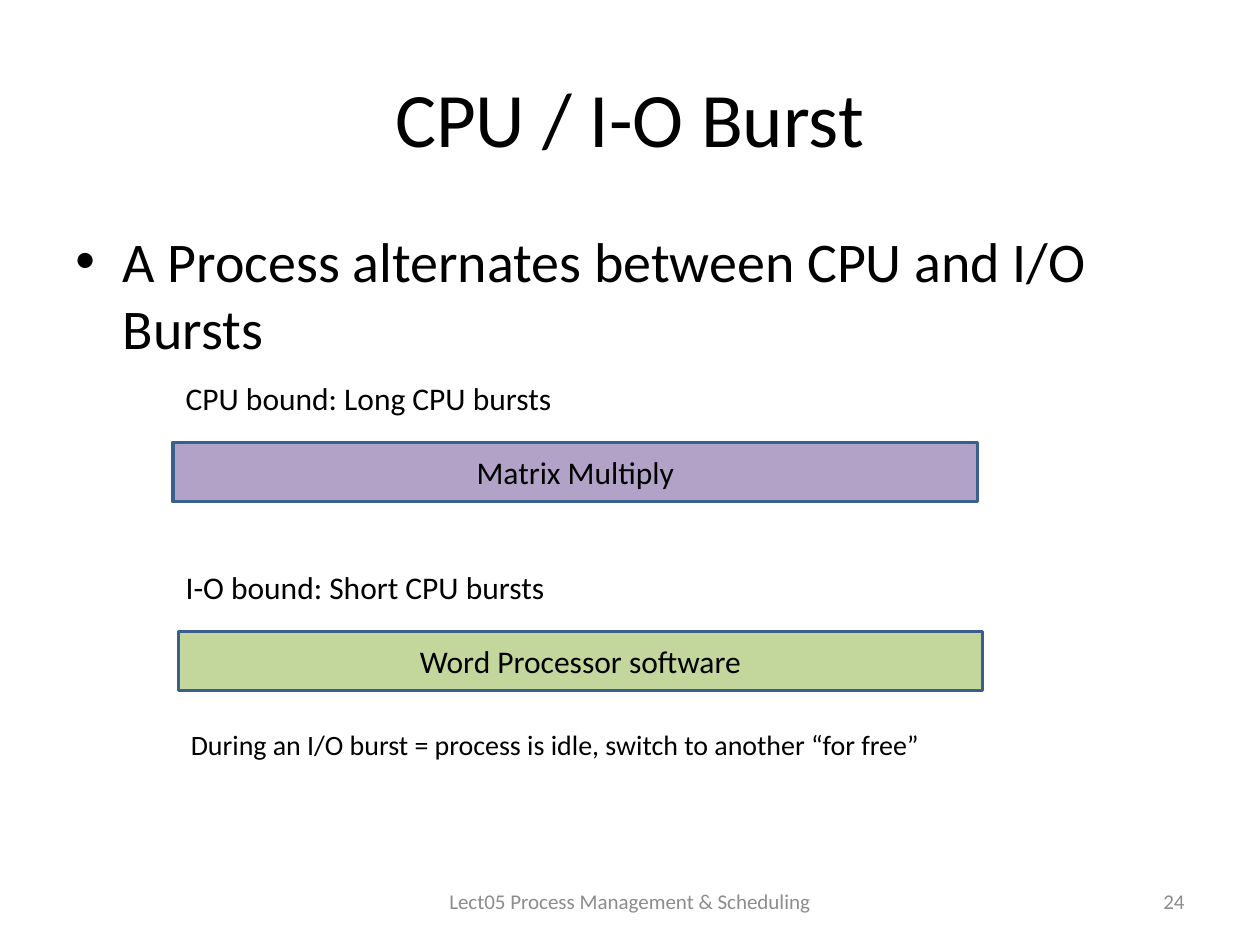
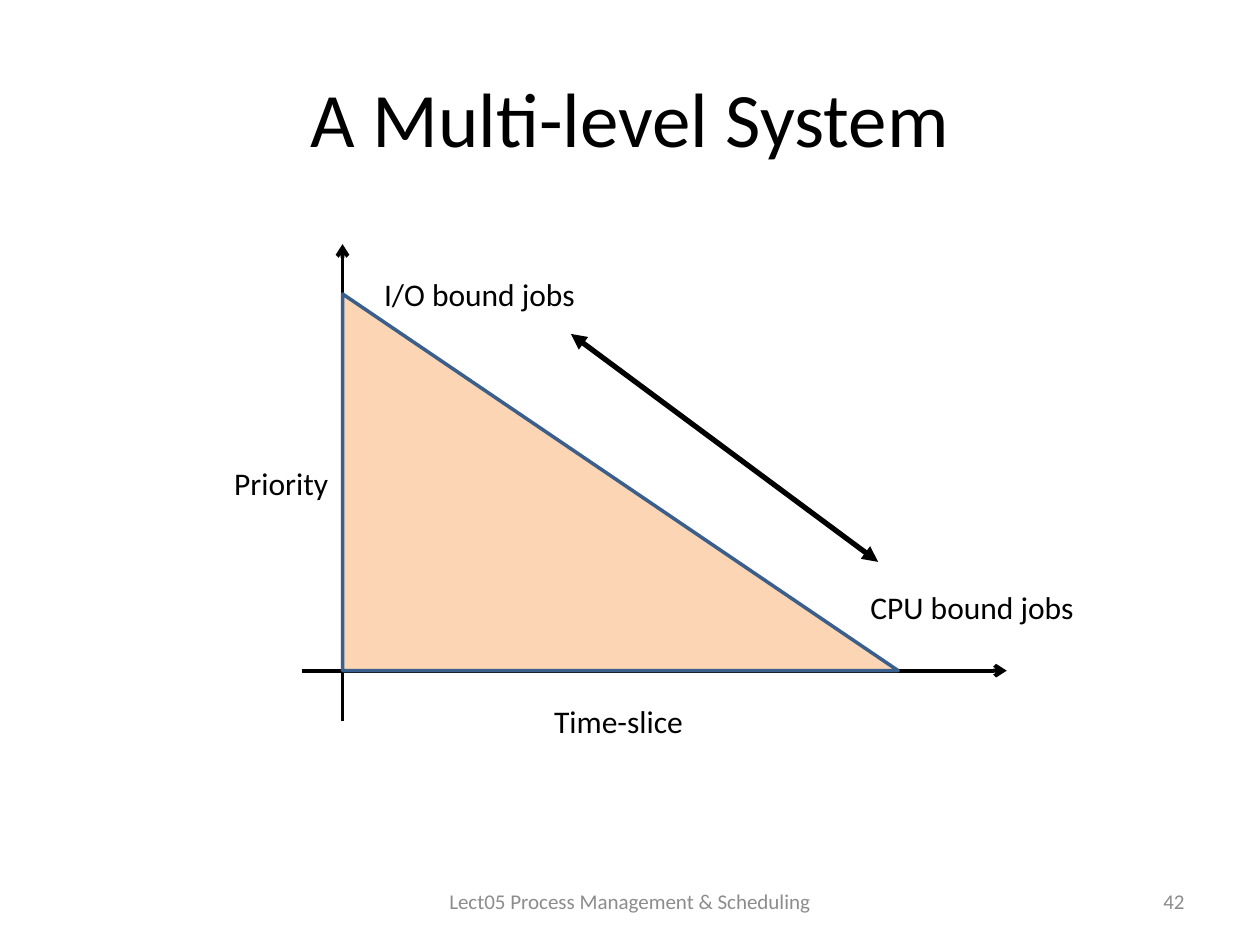
"""Build two lecture slides on CPU and I/O bursts and multi-level scheduling."""
from lxml import etree
from pptx import Presentation
from pptx.dml.color import RGBColor
from pptx.enum.shapes import MSO_CONNECTOR, MSO_SHAPE
from pptx.enum.text import MSO_ANCHOR, PP_ALIGN
from pptx.oxml.ns import qn
from pptx.util import Pt

LEFT, CENTER, RIGHT = PP_ALIGN.LEFT, PP_ALIGN.CENTER, PP_ALIGN.RIGHT
TOP, MIDDLE = MSO_ANCHOR.TOP, MSO_ANCHOR.MIDDLE
RECT, TRIANGLE = MSO_SHAPE.RECTANGLE, MSO_SHAPE.RIGHT_TRIANGLE
TRIANGLE = MSO_SHAPE.ISOSCELES_TRIANGLE
STRAIGHT = MSO_CONNECTOR.STRAIGHT
FONT = "Calibri"
COLORS = {
    "text": "000000",
    "footer": "8C8C8C",
    "outline": "3A5F8C",
    "cpu": "B3A2C7",
    "io": "C3D69B",
    "area": "FCD5B5",
}


def add_text(s, text, box, size=18, align=LEFT, anchor=TOP, color="text", wrap=True):
    sp = s.shapes.add_textbox(*map(Pt, box))
    tf = sp.text_frame
    tf.word_wrap = wrap
    tf.vertical_anchor = anchor
    p = tf.paragraphs[0]
    p.alignment = align
    r = p.add_run()
    r.text = text
    r.font.name = FONT
    r.font.size = Pt(size)
    r.font.color.rgb = RGBColor.from_string(COLORS[color])
    return p


def add_filled(s, kind, box, fill):
    sp = s.shapes.add_shape(kind, *map(Pt, box))
    sp.shadow.inherit = False
    sp.fill.solid()
    sp.fill.fore_color.rgb = RGBColor.from_string(COLORS[fill])
    sp.line.color.rgb = RGBColor.from_string(COLORS["outline"])
    sp.line.width = Pt(2)
    return sp


prs = Presentation()
prs.slide_width, prs.slide_height = Pt(720), Pt(540)

slides = []
for title, number in (("CPU / I-O Burst", "24"), ("A Multi-level System", "42")):
    s = prs.slides.add_slide(prs.slide_layouts[6])
    add_text(s, title, (36, 21.6, 648, 90), 44, CENTER, MIDDLE)
    add_text(s, "Lect05 Process Management & Scheduling", (246, 500.5, 228, 28.75),
             12, CENTER, MIDDLE, "footer")
    add_text(s, number, (516, 500.5, 168, 28.75), 12, RIGHT, MIDDLE, "footer")
    slides.append(s)
burst, levels = slides

p = add_text(burst, "A Process alternates between CPU and I/O Bursts", (36, 126, 648, 98.6), 32)
pPr = p._p.get_or_add_pPr()
pPr.set("marL", str(Pt(27)))
pPr.set("indent", str(Pt(-27)))
etree.SubElement(pPr, qn("a:buFont")).set("typeface", "Arial")
etree.SubElement(pPr, qn("a:buChar")).set("char", "•")

bursts = (
    ("CPU bound: Long CPU bursts", 213, 226, "Matrix Multiply", 99, "cpu"),
    ("I-O bound: Short CPU bursts", 321, 222, "Word Processor software", 102, "io"),
)
for label, top, width, job, left, fill in bursts:
    add_text(burst, label, (99, top, width, 29), wrap=False)
    bar = (left, top + 39.75, 459.5, 34)
    add_filled(burst, RECT, bar, fill)
    add_text(burst, job, bar, align=CENTER, anchor=MIDDLE)
add_text(burst, "During an I/O burst = process is idle, switch to another “for free”",
         (102, 412, 474, 26.6), 16)

origin_x, origin_y, peak = 195.75, 383.25, 168
arrows = (
    (172.8, origin_y, 575.3, origin_y, 2.25, {"tailEnd": "arrow"}),
    (origin_x, 412, origin_x, 139.5, 2.25, {"tailEnd": "arrow"}),
    (326.2, 190.8, 501.8, 321.1, 3, {"headEnd": "triangle", "tailEnd": "triangle"}),
)
for x1, y1, x2, y2, width, ends in arrows:
    c = levels.shapes.add_connector(STRAIGHT, Pt(x1), Pt(y1), Pt(x2), Pt(y2))
    c.line.color.rgb = RGBColor.from_string(COLORS["text"])
    c.line.width = Pt(width)
    for end, style in ends.items():
        etree.SubElement(c.line._get_or_add_ln(), qn("a:" + end)).set("type", style)
    etree.SubElement(c._element.spPr, qn("a:effectLst"))

area = add_filled(levels, TRIANGLE, (origin_x, peak, 317.5, origin_y - peak), "area")
area.adjustments[0] = 0

for label, left, top, width in (
    ("Time-slice", 309.6, 397.5, 88.6),
    ("Priority", 126.7, 261.4, 68.4),
    ("I/O bound jobs", 212.4, 153.4, 124.6),
    ("CPU bound jobs", 490.3, 332.6, 131.8),
):
    add_text(levels, label, (left, top, width, 29), wrap=False)

prs.save("out.pptx")
